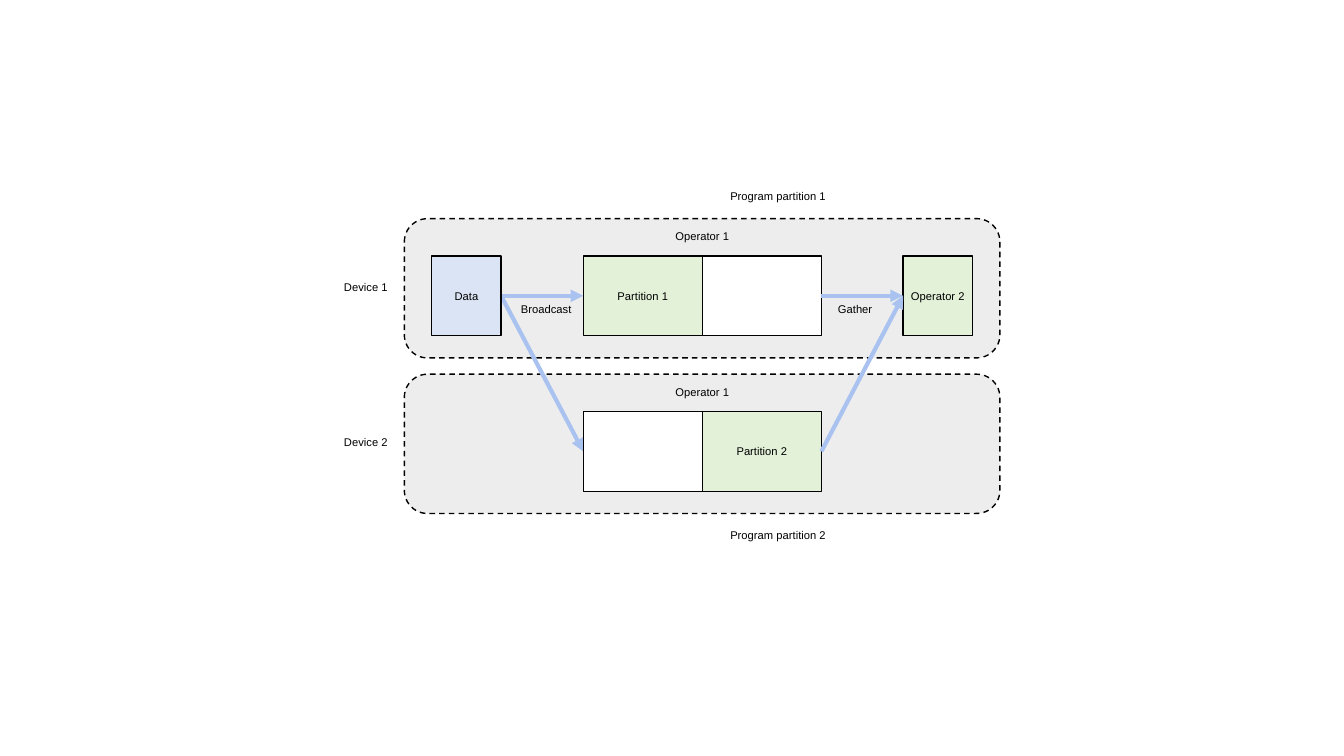
from lxml import etree
from pptx import Presentation
from pptx.dml.color import RGBColor
from pptx.enum import dml, shapes, text
from pptx.oxml import ns
from pptx.util import Cm, Pt

COLORS = {
    "text": "000000",
    "outline": "000000",
    "panel": "EDEDED",
    "data": "DBE4F4",
    "active": "E3F1D9",
    "idle": "FFFFFF",
    "arrow": "A9C2F0",
}
PANEL_LEFT, PANEL_WIDTH, PANEL_HEIGHT = 10.19, 15.01, 3.51
PANEL_TOPS = (5.51, 9.43)
BLOCK_OFFSET, BLOCK_HEIGHT = 0.94, 2.01
END_WIDTH, PARTITION_WIDTH = 1.75, 3
PARTITIONS_OFFSET = 4.51
LABEL_HEIGHT = 0.61


def color(name):
    return RGBColor.from_string(COLORS[name])


def write(shape, wording, align):
    frame = shape.text_frame
    frame.word_wrap = True
    frame.margin_left = frame.margin_right = 0
    frame.margin_top = frame.margin_bottom = Cm(0.13)
    paragraph = frame.paragraphs[0]
    paragraph.text = wording
    paragraph.alignment = align
    paragraph.font.name = "Arial"
    paragraph.font.size = Pt(8)
    paragraph.font.color.rgb = color("text")


def add_label(slide, wording, left, top, width, align=text.PP_ALIGN.CENTER):
    label = slide.shapes.add_textbox(Cm(left), Cm(top), Cm(width), Cm(LABEL_HEIGHT))
    write(label, wording, align)


def add_box(slide, kind, fill, left, top, width, height):
    box = slide.shapes.add_shape(kind, Cm(left), Cm(top), Cm(width), Cm(height))
    box.shadow.inherit = False
    box.fill.solid()
    box.fill.fore_color.rgb = color(fill)
    box.line.color.rgb = color("outline")
    box.line.width = Pt(1)
    return box


def add_block(slide, wording, fill, left, panel_top, width):
    block = add_box(slide, shapes.MSO_SHAPE.RECTANGLE, fill,
                    left, panel_top + BLOCK_OFFSET, width, BLOCK_HEIGHT)
    if wording:
        write(block, wording, text.PP_ALIGN.CENTER)
        block.text_frame.vertical_anchor = text.MSO_ANCHOR.MIDDLE
    return block


def add_arrow(slide, source, target):
    arrow = slide.shapes.add_connector(shapes.MSO_CONNECTOR.STRAIGHT, 0, 0, 0, 0)
    arrow.begin_connect(source, 3)
    arrow.end_connect(target, 1)
    arrow.line.color.rgb = color("arrow")
    arrow.line.width = Pt(3)
    etree.SubElement(arrow.line._get_or_add_ln(), ns.qn("a:tailEnd"), type="triangle")
    etree.SubElement(arrow._element.spPr, ns.qn("a:effectLst"))
    return arrow


def add_device(slide, name, partitions, left, top, width, height):
    add_label(slide, name, left - 1.52, top + 1.42, 1.5, text.PP_ALIGN.LEFT)
    panel = add_box(slide, shapes.MSO_SHAPE.ROUNDED_RECTANGLE, "panel",
                    left, top, width, height)
    panel.line.dash_style = dml.MSO_LINE.DASH
    partitions_left = left + PARTITIONS_OFFSET
    add_label(slide, "Operator 1", partitions_left, top + 0.15, 2 * PARTITION_WIDTH)
    return [
        add_block(slide, wording, "active" if wording else "idle",
                  partitions_left + index * PARTITION_WIDTH, top, PARTITION_WIDTH)
        for index, wording in enumerate(partitions)
    ]


def add_data_flow(slide, rows, left, top, width):
    data = add_block(slide, "Data", "data", left + 0.69, top, END_WIDTH)
    gatherer = add_block(slide, "Operator 2", "active",
                         left + width - 0.69 - END_WIDTH, top, END_WIDTH)
    for first, last in rows:
        broadcast = add_arrow(slide, data, first)
        first._element.addprevious(broadcast._element)
        add_arrow(slide, last, gatherer)
    add_label(slide, "Broadcast", left + 2.1, top + 1.98, 2.95)
    add_label(slide, "Gather", left + 9.95, top + 1.98, 2.82)


def add_program_labels(slide, left, tops):
    for number, top in enumerate(tops, 1):
        add_label(slide, f"Program partition {number}", left, top, 3)


def main():
    presentation = Presentation()
    presentation.slide_width, presentation.slide_height = Cm(33.87), Cm(19.05)
    slide = presentation.slides.add_slide(presentation.slide_layouts[6])
    devices = (("Device 1", ("Partition 1", "")), ("Device 2", ("", "Partition 2")))
    rows = [
        add_device(slide, name, partitions, PANEL_LEFT, top, PANEL_WIDTH, PANEL_HEIGHT)
        for (name, partitions), top in zip(devices, PANEL_TOPS)
    ]
    add_data_flow(slide, rows, PANEL_LEFT, PANEL_TOPS[0], PANEL_WIDTH)
    add_program_labels(slide, PANEL_LEFT + 7.92,
                       (PANEL_TOPS[0] - 0.86, PANEL_TOPS[1] + PANEL_HEIGHT + 0.25))
    presentation.save("out.pptx")


if __name__ == "__main__":
    main()
